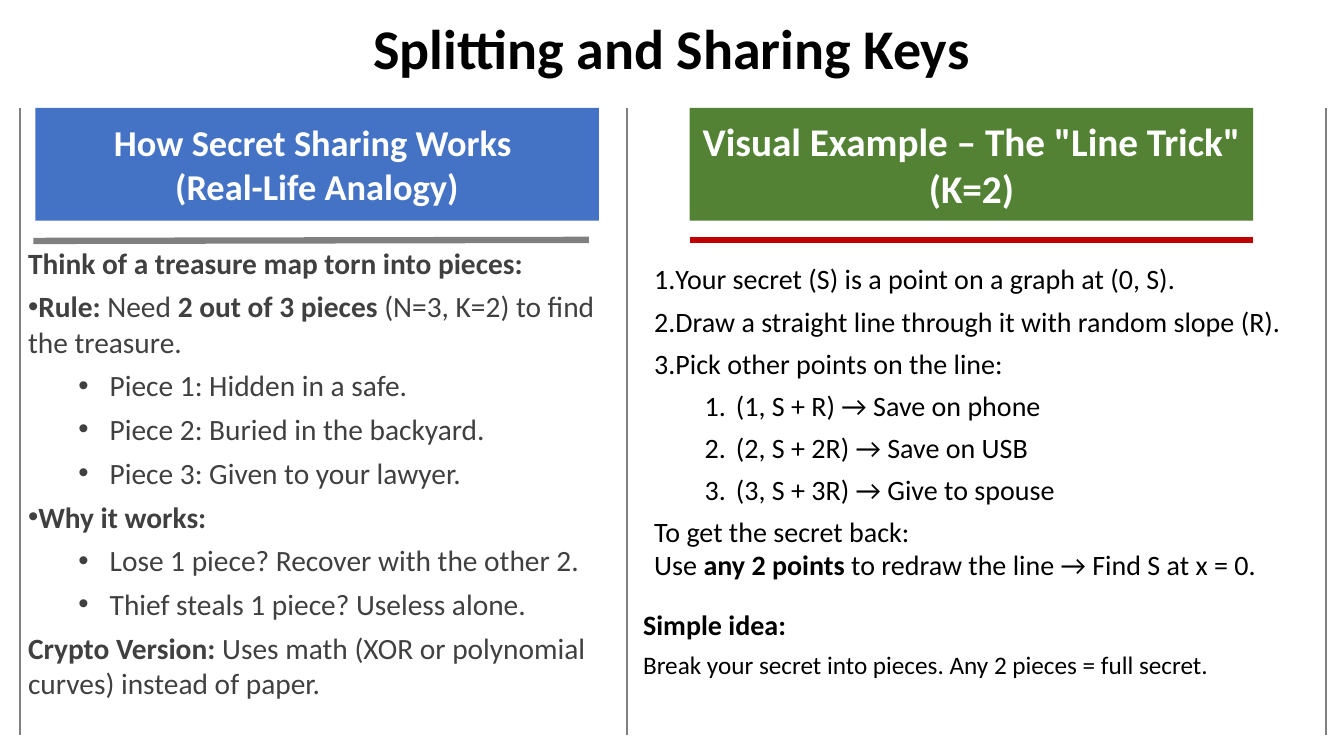
"""Build the slide on splitting and sharing secret keys."""
from dataclasses import dataclass

from lxml import etree
from pptx import Presentation
from pptx import util as u
from pptx.dml.color import RGBColor
from pptx.enum import shapes, text
from pptx.oxml.ns import qn

BLACK = RGBColor(0x00, 0x00, 0x00)
WHITE = RGBColor(0xFF, 0xFF, 0xFF)
DARK = RGBColor(0x40, 0x40, 0x40)
GREY = RGBColor(0x80, 0x80, 0x80)
BLUE = RGBColor(0x44, 0x72, 0xC4)
GREEN = RGBColor(0x54, 0x82, 0x35)
RED = RGBColor(0xC0, 0x00, 0x00)

FONT = "Calibri"
WIDTH, HEIGHT = u.Inches(13.33), u.Inches(7.5)
COLUMN, ROW = WIDTH / 100, HEIGHT / 100
TOP, BOTTOM = 14.27, 97.2
BANNER_WIDTH, BANNER_HEIGHT = 41.94, 14.93
DOT, NUMBER = "dot", "number"


@dataclass(frozen=True)
class Area:
    """A rectangle in columns and rows."""
    left: float
    top: float
    width: float
    height: float

    def lengths(self) -> list[int]:
        """Return left, top, width and height as slide lengths."""
        return [round(self.left * COLUMN), round(self.top * ROW),
                round(self.width * COLUMN), round(self.height * ROW)]


@dataclass(frozen=True)
class Span:
    """Text in one weight."""
    words: str
    bold: bool = False


@dataclass(frozen=True)
class Para:
    """A paragraph with its list mark and level."""
    spans: tuple[Span, ...]
    mark: str = ""
    level: int = 0
    size: float = 0
    after: float = 6


@dataclass(frozen=True)
class Block:
    """A text box of paragraphs."""
    area: Area
    size: float
    color: RGBColor
    paras: tuple[Para, ...]


@dataclass(frozen=True)
class Banner:
    """A coloured column heading."""
    left: float
    fill: RGBColor
    size: float
    lines: tuple[str, ...]


@dataclass(frozen=True)
class Rule:
    """A straight line between two grid points."""
    start: tuple[float, float]
    end: tuple[float, float]
    color: RGBColor = GREY
    weight: float = 1.75


def plain(words: str, mark: str = "", level: int = 0) -> Para:
    """Return a paragraph in regular weight."""
    return Para((Span(words),), mark, level)


def strong(words: str, mark: str = "") -> Para:
    """Return a paragraph in bold."""
    return Para((Span(words, True),), mark)


RULES = (
    *(Rule((x, TOP), (x, BOTTOM)) for x in (1.5, 46.66, 98.65)),
    Rule((51.31, 31.73), (51.31 + BANNER_WIDTH, 31.73), RED, 4.5),
    Rule((2.48, 31.87), (43.81, 31.73), GREY, 4.5),
)
BANNERS = (
    Banner(2.63, BLUE, 26, ("How Secret Sharing Works ", "(Real-Life Analogy)")),
    Banner(51.31, GREEN, 28, ('Visual Example – The "Line Trick" (K=2)',)),
)
BLOCKS = (
    Block(Area(1.35, 31.73, 45.16, 66), 21, DARK, (
        strong("Think of a treasure map torn into pieces:"),
        Para((Span("Rule:", True), Span(" Need "), Span("2 out of 3 pieces", True),
              Span(" (N=3, K=2) to find the treasure.")), DOT),
        plain("Piece 1: Hidden in a safe.", DOT, 1),
        plain("Piece 2: Buried in the backyard.", DOT, 1),
        plain("Piece 3: Given to your lawyer.", DOT, 1),
        strong("Why it works:", DOT),
        plain("Lose 1 piece? Recover with the other 2.", DOT, 1),
        plain("Thief steals 1 piece? Useless alone.", DOT, 1),
        Para((Span("Crypto Version:", True),
              Span(" Uses math (XOR or polynomial curves) instead of paper."))),
    )),
    Block(Area(47.94, 34, 50.86, 44), 20, BLACK, (
        plain("Your secret (S) is a point on a graph at (0, S).", NUMBER),
        plain("Draw a straight line through it with random slope (R).", NUMBER),
        plain("Pick other points on the line:", NUMBER),
        plain("(1, S + R) → Save on phone", NUMBER, 1),
        plain("(2, S + 2R) → Save on USB", NUMBER, 1),
        plain("(3, S + 3R) → Give to spouse", NUMBER, 1),
        Para((Span("To get the secret back:\nUse "), Span("any 2 points", True),
              Span(" to redraw the line → Find S at x = 0."))),
    )),
    Block(Area(47.11, 79.73, 50.04, 10.93), 20, BLACK, (
        strong("Simple idea:"),
        Para((Span("Break your secret into pieces. Any 2 pieces = full secret."),),
             size=18, after=0),
    )),
)


def add_span(para, words: str, size: float, color: RGBColor, bold: bool) -> None:
    """Add text to a paragraph, with a line break at each newline."""
    for index, line in enumerate(words.split("\n")):
        if index:
            para.add_line_break()
        run = para.add_run()
        run.text = line
        run.font.name, run.font.size, run.font.bold = FONT, u.Pt(size), bold
        run.font.color.rgb = color


def set_mark(para, item: Para) -> None:
    """Give a paragraph its bullet or number and its indent."""
    properties = para._p.get_or_add_pPr()
    properties.set("marL", str(u.Inches(0.81 * item.level)))
    properties.set("indent", str(u.Inches(-0.31 * item.level)))
    if item.mark == DOT:
        etree.SubElement(properties, qn("a:buFont"), typeface="Arial")
        etree.SubElement(properties, qn("a:buChar"), char="•")
    elif item.mark == NUMBER:
        etree.SubElement(properties, qn("a:buAutoNum"), type="arabicPeriod")


def add_block(page, block: Block) -> None:
    """Draw a text box."""
    frame = page.shapes.add_textbox(*block.area.lengths()).text_frame
    frame.word_wrap = True
    for index, item in enumerate(block.paras):
        para = frame.add_paragraph() if index else frame.paragraphs[0]
        set_mark(para, item)
        para.level = item.level
        para.space_after = u.Pt(item.after)
        for span in item.spans:
            add_span(para, span.words, item.size or block.size, block.color, span.bold)


def add_banner(page, banner: Banner) -> None:
    """Draw a column heading."""
    area = Area(banner.left, TOP, BANNER_WIDTH, BANNER_HEIGHT)
    box = page.shapes.add_shape(shapes.MSO_SHAPE.RECTANGLE, *area.lengths())
    box.shadow.inherit = False
    box.fill.solid()
    box.fill.fore_color.rgb = banner.fill
    box.line.fill.background()
    frame = box.text_frame
    frame.word_wrap = True
    frame.vertical_anchor = text.MSO_ANCHOR.MIDDLE
    for index, line in enumerate(banner.lines):
        para = frame.add_paragraph() if index else frame.paragraphs[0]
        para.alignment = text.PP_ALIGN.CENTER
        add_span(para, line, banner.size, WHITE, True)


def add_rule(page, rule: Rule) -> None:
    """Draw a straight line."""
    points = [round(share * unit) for point in (rule.start, rule.end)
              for share, unit in zip(point, (COLUMN, ROW))]
    line = page.shapes.add_connector(shapes.MSO_CONNECTOR.STRAIGHT, *points)
    line.line.color.rgb = rule.color
    line.line.width = u.Pt(rule.weight)
    etree.SubElement(line._element.spPr, qn("a:effectLst"))


def set_title(page, words: str) -> None:
    """Place and format the slide title."""
    title = page.shapes.title
    title.left, title.top, title.width, title.height = Area(26.71, 1.07, 46.51, 10.27).lengths()
    frame = title.text_frame
    frame.word_wrap = False
    frame.auto_size = text.MSO_AUTO_SIZE.NONE
    para = frame.paragraphs[0]
    para.alignment = text.PP_ALIGN.CENTER
    add_span(para, words, 40, BLACK, True)


def main() -> None:
    """Build and save the deck."""
    deck = Presentation()
    deck.slide_width, deck.slide_height = WIDTH, HEIGHT
    page = deck.slides.add_slide(deck.slide_layouts[5])
    set_title(page, "Splitting and Sharing Keys")
    for banner in BANNERS:
        add_banner(page, banner)
    for rule in RULES:
        add_rule(page, rule)
    for block in BLOCKS:
        add_block(page, block)
    deck.save("out.pptx")


if __name__ == "__main__":
    main()
